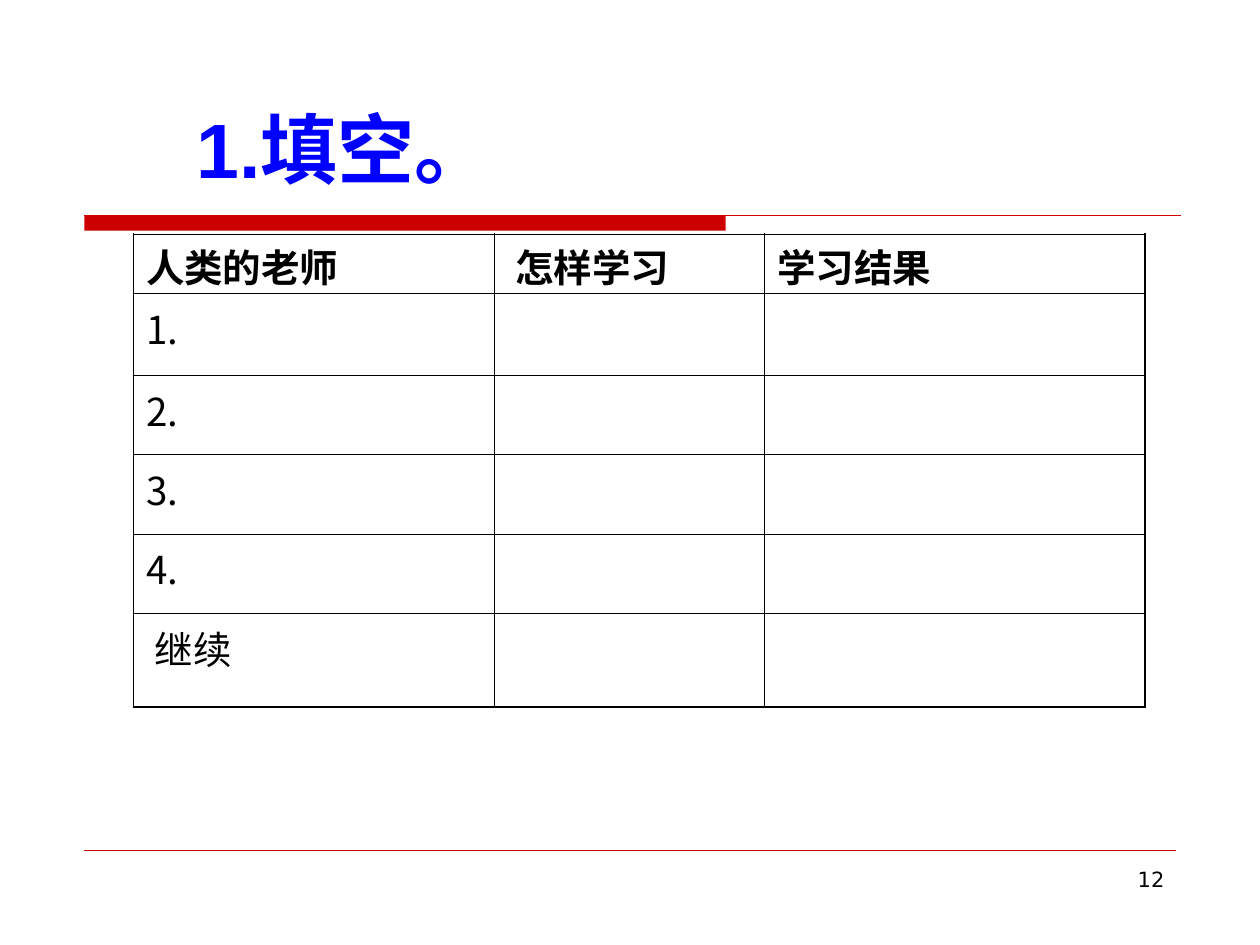
from dataclasses import dataclass
from lxml.etree import SubElement
from pptx import Presentation
from pptx.dml.color import RGBColor
from pptx.enum.shapes import MSO_CONNECTOR, MSO_SHAPE
from pptx.enum.text import PP_ALIGN
from pptx.oxml.ns import qn
from pptx.util import Inches, Pt


@dataclass(frozen=True)
class Theme:
    red: str = "CC0000"
    blue: str = "0000FF"
    black: str = "000000"
    title_font: str = "Arial"
    body_font: str = "Noto Sans CJK SC"
    number_font: str = "DejaVu Sans"
    title_size: float = 44
    body_size: float = 22
    number_size: float = 12
    outer_border: float = 1.08
    inner_border: float = 0.45


class SlideBuilder:
    def __init__(self, slide, theme):
        self.slide = slide
        self.theme = theme

    def add_styled_run(self, paragraph, text, font, size, color, bold=False):
        run = paragraph.add_run()
        run.text = text
        formats = {"name": font, "size": Pt(size), "bold": bold}
        for attribute, value in formats.items():
            setattr(run.font, attribute, value)
        run.font.color.rgb = RGBColor.from_string(color)
        east_asian = SubElement(run.font._element, qn("a:ea"))
        east_asian.set("typeface", self.theme.body_font)

    def text(self, box, text, font, size, color, bold=False, align=PP_ALIGN.LEFT):
        frame = self.slide.shapes.add_textbox(*map(Inches, box)).text_frame
        frame.word_wrap = True
        paragraph = frame.paragraphs[0]
        paragraph.alignment = align
        self.add_styled_run(paragraph, text, font, size, color, bold)

    def bar(self, box, color):
        bar = self.slide.shapes.add_shape(MSO_SHAPE.RECTANGLE, *map(Inches, box))
        bar.shadow.inherit = False
        bar.fill.solid()
        bar.fill.fore_color.rgb = RGBColor.from_string(color)
        bar.line.fill.background()

    def rule(self, left, right, y, color, width):
        ends = map(Inches, (left, y, right, y))
        rule = self.slide.shapes.add_connector(MSO_CONNECTOR.STRAIGHT, *ends)
        rule.line.color.rgb = RGBColor.from_string(color)
        rule.line.width = Pt(width)
        SubElement(rule._element.spPr, qn("a:effectLst"))

    def border(self, cell, side, width):
        line = SubElement(cell._tc.get_or_add_tcPr(), qn(f"a:ln{side}"))
        line.set("w", str(Pt(width)))
        fill = SubElement(line, qn("a:solidFill"))
        SubElement(fill, qn("a:srgbClr")).set("val", self.theme.black)

    def table(self, left, top, widths, heights, rows):
        """Draw a grid with a heavier frame and a bold first row."""
        theme = self.theme
        size = (left, top, sum(widths), sum(heights))
        table = self.slide.shapes.add_table(
            len(heights), len(widths), *map(Inches, size)).table
        table.first_row = table.horz_banding = False
        for column, width in zip(table.columns, widths):
            column.width = Inches(width)
        last_row, last_column = len(heights) - 1, len(widths) - 1
        for r, (height, texts) in enumerate(zip(heights, rows)):
            table.rows[r].height = Inches(height)
            for c, text in enumerate(texts):
                cell = table.cell(r, c)
                outer_sides = {"L": c == 0, "R": c == last_column,
                               "T": r == 0, "B": r == last_row}
                for side, outer in outer_sides.items():
                    self.border(cell, side, theme.outer_border if outer
                                else theme.inner_border)
                cell.fill.background()
                if r == 0:  # the header row is barely taller than its text
                    cell.margin_top, cell.margin_bottom = Inches(0.03), 0
                if text:
                    self.add_styled_run(
                        cell.text_frame.paragraphs[0], text, theme.body_font,
                        theme.body_size, theme.black, bold=r == 0)


def main():
    presentation = Presentation()
    presentation.slide_width = Inches(10)
    presentation.slide_height = Inches(7.5)
    theme = Theme()
    slide = presentation.slides.add_slide(presentation.slide_layouts[6])
    builder = SlideBuilder(slide, theme)

    builder.bar((0.67, 1.71, 5.09, 0.12), theme.red)
    builder.rule(0.67, 9.37, 1.71, theme.red, 0.75)
    builder.rule(0.67, 9.33, 6.75, theme.red, 0.25)
    builder.text((1.46, 0.76, 4.42, 0.84), "1.填空。", theme.title_font,
                 theme.title_size, theme.blue, bold=True)

    header = ["人类的老师", " 怎样学习", "学习结果"]
    teachers = ["1.", "2.", "3.", "4.", " 继续"]
    builder.table(1.06, 1.86, [2.86, 2.15, 3.02],
                  [0.47, 0.65, 0.63, 0.63, 0.63, 0.74],
                  [header] + [[teacher, "", ""] for teacher in teachers])

    builder.text((7.17, 6.83, 2.17, 0.52), "12", theme.number_font,
                 theme.number_size, theme.black, align=PP_ALIGN.RIGHT)
    presentation.save("out.pptx")


if __name__ == "__main__":
    main()
